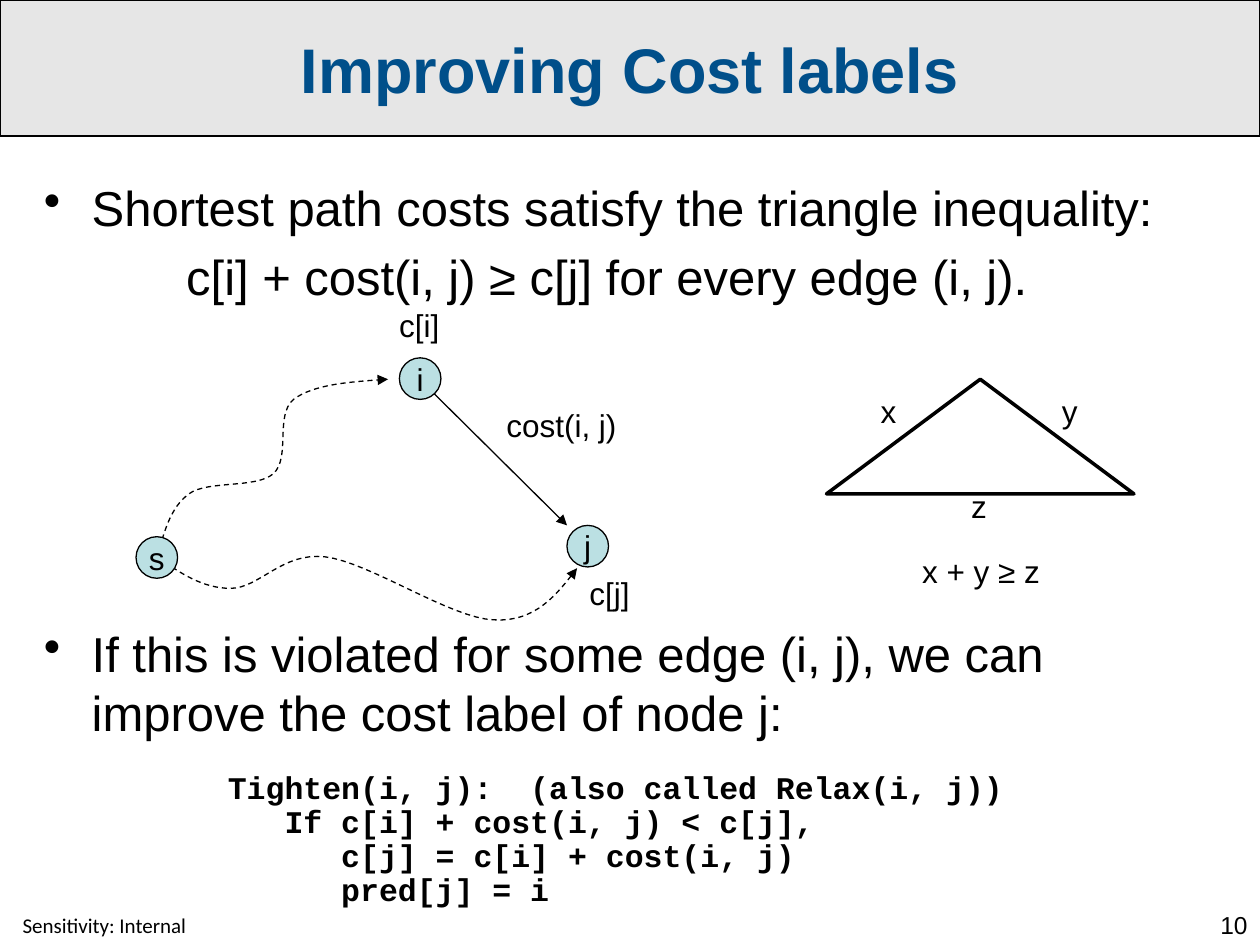
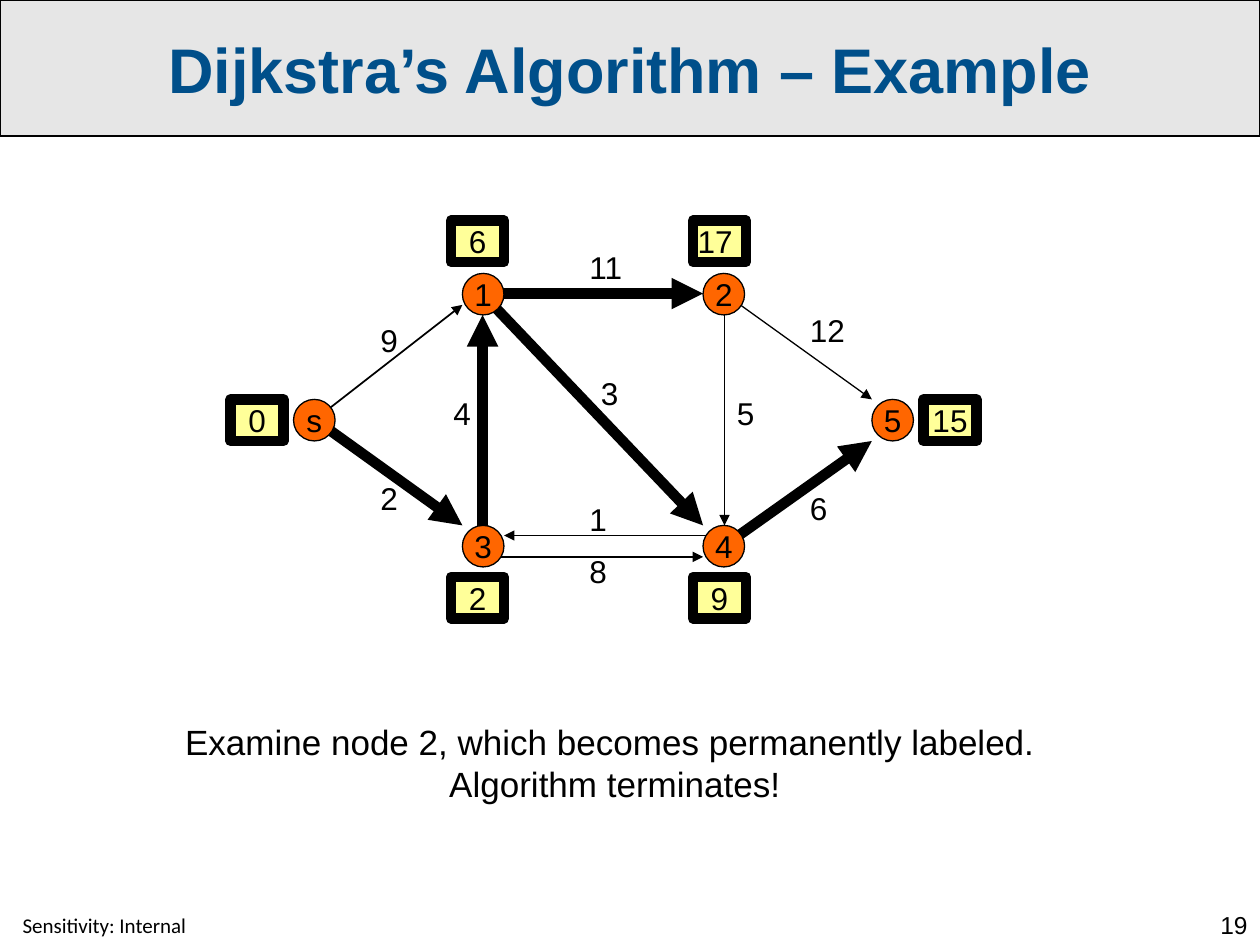
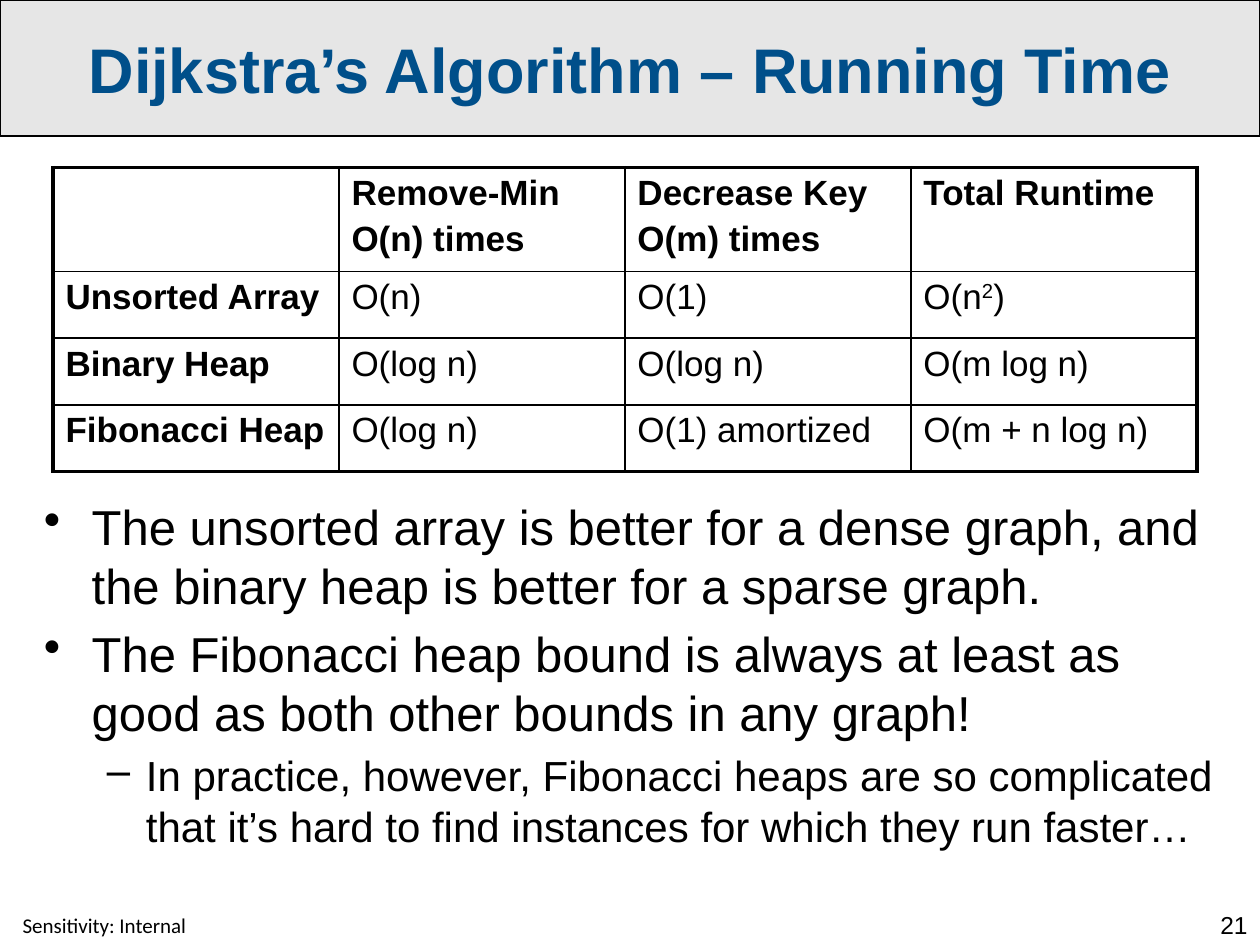
from lxml import etree
from pptx import Presentation
from pptx import util as u
from pptx.dml.color import RGBColor
from pptx.enum import dml, shapes, text
from pptx.oxml import ns

BLACK = RGBColor(0x00, 0x00, 0x00)
TITLE_BLUE = RGBColor(0x00, 0x4F, 0x8A)
BAND_GREY = RGBColor(0xE6, 0xE6, 0xE6)
PALE_TEAL = RGBColor(0xBB, 0xE0, 0xE3)
ORANGE = RGBColor(0xFF, 0x66, 0x00)
YELLOW = RGBColor(0xFF, 0xFF, 0x99)

CENTER, RIGHT = text.PP_ALIGN.CENTER, text.PP_ALIGN.RIGHT
OVAL, BOX = shapes.MSO_SHAPE.OVAL, shapes.MSO_SHAPE.RECTANGLE
NODE_SIZE = 0.33
FOOTER = "Sensitivity: Internal"

# Bullet levels: mark, left margin, hanging indent, font size
LEVELS = {
    "bullet": ("•", 0.38, -0.38, 28),
    "formula": (None, 1.13, 0, 28),
    "dash": ("–", 0.81, -0.31, 24),
}

# Improving cost labels
INEQUALITY = [
    ("bullet", "Shortest path costs satisfy the triangle inequality:"),
    ("formula", "c[i] + cost(i, j) ≥ c[j] for every edge (i, j)."),
]
VIOLATION = [("bullet", "If this is violated for some edge (i, j), we can "
                        "improve the cost label of node j:")]
TIGHTEN_CODE = [
    "Tighten(i, j):  (also called Relax(i, j))",
    "   If c[i] + cost(i, j) < c[j],",
    "      c[j] = c[i] + cost(i, j)",
    "      pred[j] = i",
]
PATH_NODES = {"s": (1.08, 4.26), "i": (3.17, 2.84), "j": (4.5, 4.17)}
# Each path is a start point, then Bezier segments of three points
PATHS = [
    [(1.25, 4.42),
     (1.3, 4.23), (1.35, 4.03), (1.5, 3.92),
     (1.65, 3.81), (2.03, 3.88), (2.17, 3.76),
     (2.31, 3.63), (2.18, 3.3), (2.33, 3.17),
     (2.49, 3.05), (2.78, 3.03), (3.08, 3.01)],
    [(1.25, 4.42),
     (1.43, 4.55), (1.61, 4.67), (1.83, 4.67),
     (2.06, 4.67), (2.24, 4.38), (2.58, 4.42),
     (2.93, 4.46), (3.58, 4.91), (3.92, 4.92),
     (4.25, 4.94), (4.42, 4.72), (4.58, 4.51)],
]
# Labels: text, left, top, width
PATH_LABELS = [
    ("c[i]", 3.07, 2.38, 0.52), ("c[j]", 4.58, 4.51, 0.52),
    ("cost(i, j)", 3.92, 3.17, 1.08), ("x", 6.89, 3.06, 0.33),
    ("y", 8.33, 3.06, 0.33), ("z", 7.61, 3.82, 0.33),
    ("x + y ≥ z", 7.22, 4.33, 1.15),
]

# Example graph
GRAPH_NODES = {
    "s": (2.33, 3.17), "1": (3.67, 2.17), "3": (3.67, 4.17),
    "4": (5.58, 4.17), "2": (5.58, 2.17), "5": (6.92, 3.17),
}
# Edges: cost, label position, start, end, line width
EDGES = [
    ("9", (2.92, 2.5), (2.5, 3.33), (3.67, 2.42), 1),
    ("2", (2.92, 3.75), (2.5, 3.33), (3.67, 4.17), 6),
    ("4", (3.5, 3.08), (3.83, 4.33), (3.83, 2.5), 6),
    ("11", (4.58, 1.92), (3.83, 2.33), (5.58, 2.33), 6),
    ("3", (4.67, 2.92), (3.75, 2.25), (5.58, 4.17), 6),
    ("6", (6.33, 3.83), (5.75, 4.33), (6.92, 3.5), 6),
    ("12", (6.33, 2.42), (5.75, 2.33), (6.92, 3.17), 0.75),
    ("5", (5.75, 3.08), (5.75, 2.33), (5.75, 4.17), 0.75),
    ("1", (4.58, 3.92), (5.75, 4.25), (4, 4.25), 0.75),
    ("8", (4.58, 4.33), (3.83, 4.42), (5.58, 4.42), 1),
]
DISTANCES = [
    ("0", 1.83, 3.17), ("6", 3.58, 1.75), ("2", 3.58, 4.58),
    ("9", 5.5, 4.58), ("17 ", 5.5, 1.75), ("15", 7.33, 3.17),
]
CAPTION = ["Examine node 2, which becomes permanently labeled. ",
           "Algorithm terminates!"]

# Running time; a caret raises the character after it
RUNTIMES = [
    ["", "Remove-Min\nO(n) times", "Decrease Key\nO(m) times", "Total Runtime"],
    ["Unsorted Array", "O(n)", "O(1)", "O(n^2)"],
    ["Binary Heap", "O(log n)", "O(log n)", "O(m log n)"],
    ["Fibonacci Heap", "O(log n)", "O(1) amortized", "O(m + n log n)"],
]
ROW_HEIGHTS = [0.77, 0.53, 0.53, 0.53]
COLUMN_WIDTH = 2.27
HEAP_NOTES = [
    ("bullet", "The unsorted array is better for a dense graph, and "
               "the binary heap is better for a sparse graph."),
    ("bullet", "The Fibonacci heap bound is always at least as "
               "good as both other bounds in any graph!"),
    ("dash", "In practice, however, Fibonacci heaps are so complicated "
             "that it’s hard to find instances for which they run faster…"),
]


def inches(*values):
    return [u.Inches(value) for value in values]


def set_font(font, size, name="Arial", color=BLACK, bold=False):
    for key, value in {"size": u.Pt(size), "name": name, "bold": bold}.items():
        setattr(font, key, value)
    font.color.rgb = color


def write(frame, lines, size, align=None, spacing=None, before=0, **look):
    for number, line in enumerate(lines):
        para = frame.add_paragraph() if number else frame.paragraphs[0]
        para.alignment, para.line_spacing = align, spacing
        if number and before:
            para.space_before = u.Pt(before)
        base, _, raised = line.partition("^")
        for part, is_raised in ((base, False), (raised[:1], True),
                                (raised[1:], False)):
            if part:
                span = para.add_run()
                span.text = part
                set_font(span.font, size, **look)
                if is_raised:
                    span.font._element.set("baseline", "30000")


def add_text(page, lines, place, size, wrap=True, **look):
    box = page.shapes.add_textbox(*inches(*place))
    box.text_frame.word_wrap = wrap
    write(box.text_frame, lines, size, **look)
    return box


def add_label(page, label, left, top, width):
    add_text(page, [label], (left, top, width, 0.4), 18, wrap=False)


def add_bullets(page, items, top, height):
    box = page.shapes.add_textbox(*inches(0.25, top, 9.5, height))
    frame = box.text_frame
    frame.word_wrap = True
    for number, (level, words) in enumerate(items):
        mark, margin, indent, size = LEVELS[level]
        para = frame.add_paragraph() if number else frame.paragraphs[0]
        if number:
            para.space_before = u.Pt(0.2 * size)
        props = para._p.get_or_add_pPr()
        props.set("marL", str(u.Inches(margin)))
        props.set("indent", str(u.Inches(indent)))
        if mark:
            etree.SubElement(props, ns.qn("a:buChar"), char=mark)
        span = para.add_run()
        span.text = words
        set_font(span.font, size)


def set_line(shape, width, dash=None, arrow=False):
    shape.line.color.rgb = BLACK
    shape.line.width = u.Pt(width)
    if dash:
        shape.line.dash_style = dash
    if arrow:
        etree.SubElement(shape.line._get_or_add_ln(), ns.qn("a:tailEnd"),
                         type="triangle")


def add_arrow(page, start, end, width):
    arrow = page.shapes.add_connector(shapes.MSO_CONNECTOR.STRAIGHT,
                                      *inches(*start, *end))
    set_line(arrow, width, arrow=True)
    etree.SubElement(arrow._element.spPr, ns.qn("a:effectLst"))


def add_shape(page, kind, place, fill=None, width=0.75, label=None):
    shape = page.shapes.add_shape(kind, *inches(*place))
    shape.shadow.inherit = False
    if fill is None:
        shape.fill.background()
    else:
        shape.fill.solid()
        shape.fill.fore_color.rgb = fill
    set_line(shape, width)
    if label:
        frame = shape.text_frame
        frame.word_wrap = False
        frame.vertical_anchor = text.MSO_ANCHOR.MIDDLE
        write(frame, [label], 18, align=CENTER)


def add_nodes(page, nodes, fill):
    for name, (left, top) in nodes.items():
        add_shape(page, OVAL, (left, top, NODE_SIZE, NODE_SIZE), fill, label=name)


def bezier_points(points, steps=16):
    """Return points along joined cubic Bezier segments, without the start."""
    result = []
    for first in range(0, len(points) - 1, 3):
        a, b, c, d = points[first:first + 4]
        for step in range(1, steps + 1):
            t = step / steps
            weights = ((1 - t) ** 3, 3 * t * (1 - t) ** 2,
                       3 * t * t * (1 - t), t ** 3)
            result.append(tuple(
                u.Inches(sum(w * value for w, value in zip(weights, axis)))
                for axis in zip(a, b, c, d)))
    return result


def add_path(page, points):
    builder = page.shapes.build_freeform(*inches(*points[0]))
    builder.add_line_segments(bezier_points(points), close=False)
    curve = builder.convert_to_shape()
    curve.shadow.inherit = False
    curve.fill.background()
    set_line(curve, 0.75, dml.MSO_LINE.DASH, arrow=True)


def set_borders(cell, widths):
    """Draw the left, right, top and bottom borders, given in points."""
    props = cell._tc.get_or_add_tcPr()
    for index, (side, width) in enumerate(zip("LRTB", widths)):
        line = etree.Element(ns.qn(f"a:ln{side}"), w=str(u.Pt(width)))
        fill = etree.SubElement(line, ns.qn("a:solidFill"))
        etree.SubElement(fill, ns.qn("a:srgbClr"), val=str(BLACK))
        props.insert(index, line)


def add_runtime_table(page):
    rows, columns = len(RUNTIMES), len(RUNTIMES[0])
    place = (0.42, 1.33, columns * COLUMN_WIDTH, sum(ROW_HEIGHTS))
    table = page.shapes.add_table(rows, columns, *inches(*place)).table
    table.first_row = table.horz_banding = False
    for column in table.columns:
        column.width = u.Inches(COLUMN_WIDTH)
    for r, values in enumerate(RUNTIMES):
        table.rows[r].height = u.Inches(ROW_HEIGHTS[r])
        for c, value in enumerate(values):
            cell = table.cell(r, c)
            cell.fill.background()
            write(cell.text_frame, value.split("\n"), 20, before=4,
                  bold=r == 0 or c == 0)
            outer = (c == 0, c == columns - 1, r == 0, r == rows - 1)
            set_borders(cell, [2.25 if edge else 1 for edge in outer])


def add_page(deck, title, number):
    page = deck.slides.add_slide(deck.slide_layouts[5])
    band = page.shapes.title
    band.left, band.top, band.width, band.height = inches(0, 0, 10, 1.08)
    band.fill.solid()
    band.fill.fore_color.rgb = BAND_GREY
    set_line(band, 0.75)
    frame = band.text_frame
    frame.auto_size = text.MSO_AUTO_SIZE.NONE
    frame.vertical_anchor = text.MSO_ANCHOR.MIDDLE
    write(frame, [title], 36, align=CENTER, color=TITLE_BLUE, bold=True)

    footer = add_text(page, [FOOTER], (0.18, 7.18, 1.66, 0.32), 12, name="Calibri")
    footer.text_frame.vertical_anchor = text.MSO_ANCHOR.MIDDLE
    for side in ("left", "right", "top", "bottom"):
        setattr(footer.text_frame, f"margin_{side}", 0)
    add_text(page, [str(number)], (7.67, 7.17, 2.33, 0.33), 14, align=RIGHT)
    return page


def build_cost_labels(deck):
    page = add_page(deck, "Improving Cost labels", 10)
    for points in PATHS:
        add_path(page, points)
    add_arrow(page, (3.33, 3.01), (4.5, 4.17), 0.75)
    add_bullets(page, INEQUALITY, 1.36, 1.1)
    add_bullets(page, VIOLATION, 4.9, 1.1)
    add_nodes(page, PATH_NODES, PALE_TEAL)
    add_shape(page, shapes.MSO_SHAPE.ISOSCELES_TRIANGLE,
              (6.56, 3.01, 2.44, 0.91), width=2)
    for label in PATH_LABELS:
        add_label(page, *label)
    add_text(page, TIGHTEN_CODE, (1.71, 6.08, 6.75, 1.19), 18,
             spacing=0.9, name="Courier New", bold=True)


def build_example(deck):
    page = add_page(deck, "Dijkstra’s Algorithm – Example", 19)
    for _, _, start, end, width in EDGES:
        add_arrow(page, start, end, width)
    add_nodes(page, GRAPH_NODES, ORANGE)
    for cost, (left, top), *_ in EDGES:
        add_label(page, cost, left, top, 0.2 + 0.14 * len(cost))
    for distance, left, top in DISTANCES:
        add_shape(page, BOX, (left, top, 0.42, 0.33), YELLOW, 6, distance)
    add_text(page, CAPTION, (0.67, 5.67, 8.42, 0.77), 20, align=CENTER)


def build_running_time(deck):
    page = add_page(deck, "Dijkstra’s Algorithm – Running Time", 21)
    add_runtime_table(page)
    add_bullets(page, HEAP_NOTES, 3.89, 3)


def main():
    deck = Presentation()
    deck.slide_width, deck.slide_height = inches(10, 7.5)
    build_cost_labels(deck)
    build_example(deck)
    build_running_time(deck)
    deck.save("out.pptx")


if __name__ == "__main__":
    main()
